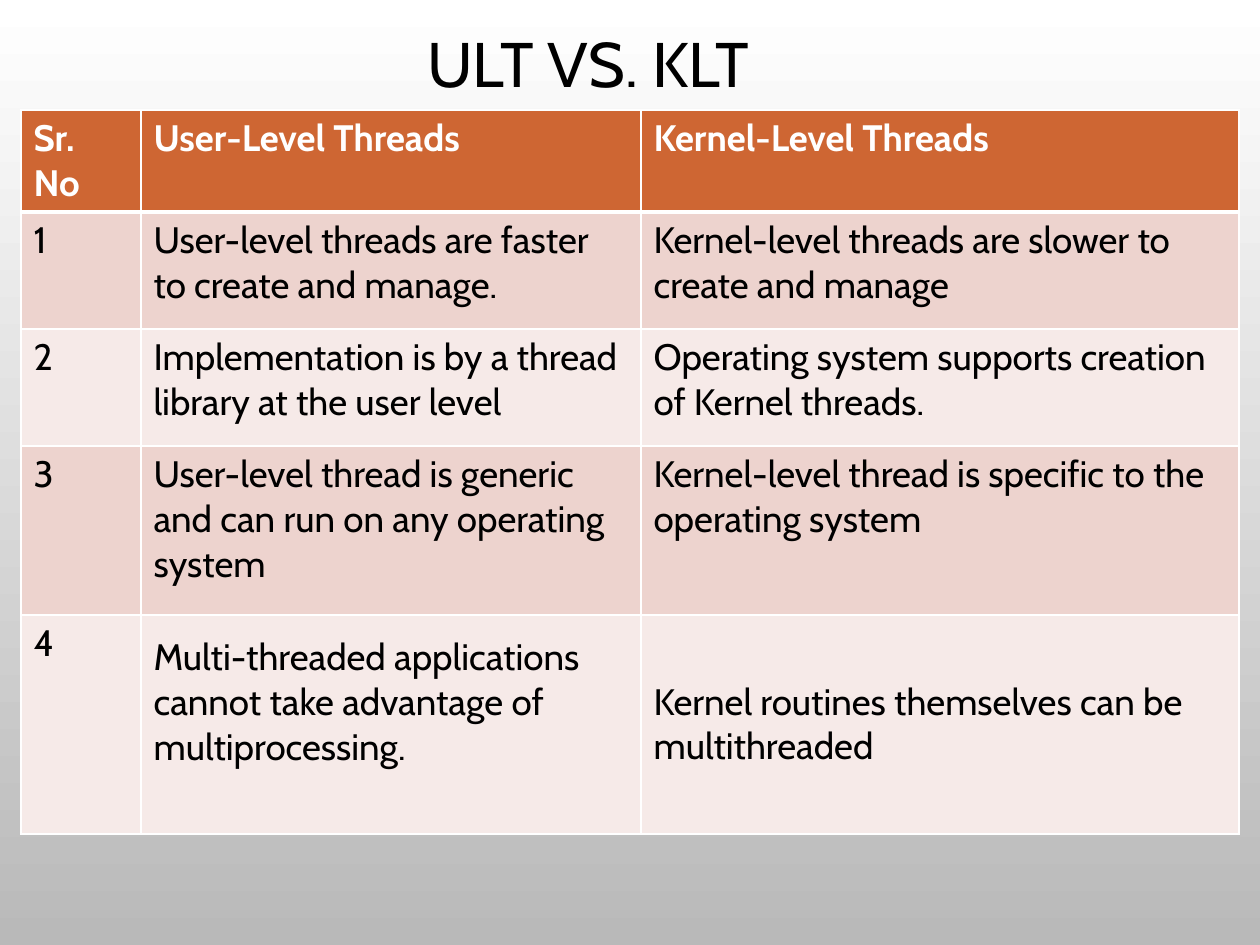
from lxml.etree import SubElement
from pptx import Presentation
from pptx.dml.color import RGBColor
from pptx.enum.text import MSO_ANCHOR, PP_ALIGN
from pptx.oxml.ns import qn
from pptx.util import Pt

EMU_PER_PX = 914400 / 126
FONT = "Cabin"
ORANGE, ROSE, PALE, WHITE, BLACK = "CE6633", "EDD3CE", "F6EAE8", "FFFFFF", "000000"
COLUMNS = [120, 500, 598]
HEIGHTS = [66, 117, 117, 169, 219]
ROWS = [
    ["Sr. No", "User-Level Threads", "Kernel-Level Threads"],
    ["1", "User-level threads are faster to create and manage.",
     "Kernel-level threads are slower to create and manage"],
    ["2", "Implementation is by a thread library at the user level",
     "Operating system supports creation of Kernel threads."],
    ["3", "User-level thread is generic and can run on any operating system",
     "Kernel-level thread is specific to the operating system"],
    ["4", "Multi-threaded applications cannot take advantage of multiprocessing.",
     "Kernel routines themselves can be multithreaded"],
]


def px(n):
    return round(n * EMU_PER_PX)


def rgb(color):
    return RGBColor.from_string(color)


def write(tf, text, size=21, color=BLACK, bold=False, align=PP_ALIGN.LEFT, spacing=None):
    tf.word_wrap = True
    p = tf.paragraphs[0]
    p.alignment = align
    p.line_spacing = spacing
    r = p.add_run()
    r.text = text
    r.font.name = FONT
    r.font.size = Pt(size)
    r.font.bold = bold
    r.font.color.rgb = rgb(color)


def set_borders(cell, top=1, bottom=1):
    tc_pr = cell._tc.get_or_add_tcPr()
    widths = {"a:lnL": 1, "a:lnR": 1, "a:lnT": top, "a:lnB": bottom}
    for i, (tag, width) in enumerate(widths.items()):
        ln = SubElement(tc_pr, qn(tag), w=str(Pt(width)))
        fill = SubElement(ln, qn("a:solidFill"))
        SubElement(fill, qn("a:srgbClr"), val=WHITE)
        tc_pr.insert(i, ln)


def add_background(s):
    fill = s.background.fill
    fill.gradient()
    fill.gradient_angle = 270
    for stop, color in zip(fill.gradient_stops, [WHITE, "B9B9B9"]):
        stop.color.rgb = rgb(color)


def add_title(s, x, y, w, h):
    sp = s.shapes.title
    sp.left, sp.top, sp.width, sp.height = px(x), px(y), px(w), px(h)
    tf = sp.text_frame
    tf.vertical_anchor = MSO_ANCHOR.MIDDLE
    write(tf, "ULT VS. KLT", size=36, align=PP_ALIGN.CENTER, spacing=0.9)


def add_comparison(s, x, y):
    table = s.shapes.add_table(len(ROWS), len(COLUMNS), px(x), px(y),
                               px(sum(COLUMNS)), px(sum(HEIGHTS))).table
    for column, width in zip(table.columns, COLUMNS):
        column.width = px(width)
    for i, (texts, height) in enumerate(zip(ROWS, HEIGHTS)):
        table.rows[i].height = px(height)
        header = i == 0
        for j, text in enumerate(texts):
            cell = table.cell(i, j)
            write(cell.text_frame, text, color=WHITE if header else BLACK, bold=header)
            cell.fill.solid()
            cell.fill.fore_color.rgb = rgb(ORANGE if header else ROSE if i % 2 else PALE)
            set_borders(cell, top=3 if i == 1 else 1, bottom=3 if header else 1)
    for cell in list(table.rows[len(ROWS) - 1].cells)[1:]:
        cell.vertical_anchor = MSO_ANCHOR.MIDDLE
    table.cell(4, 1).margin_bottom = px(51)


def main():
    prs = Presentation()
    prs.slide_width, prs.slide_height = px(1260), px(945)
    s = prs.slides.add_slide(prs.slide_layouts[5])
    add_background(s)
    add_title(s, 53, 21, 1071, 93)
    add_comparison(s, 21, 110)
    prs.save("out.pptx")


if __name__ == "__main__":
    main()
